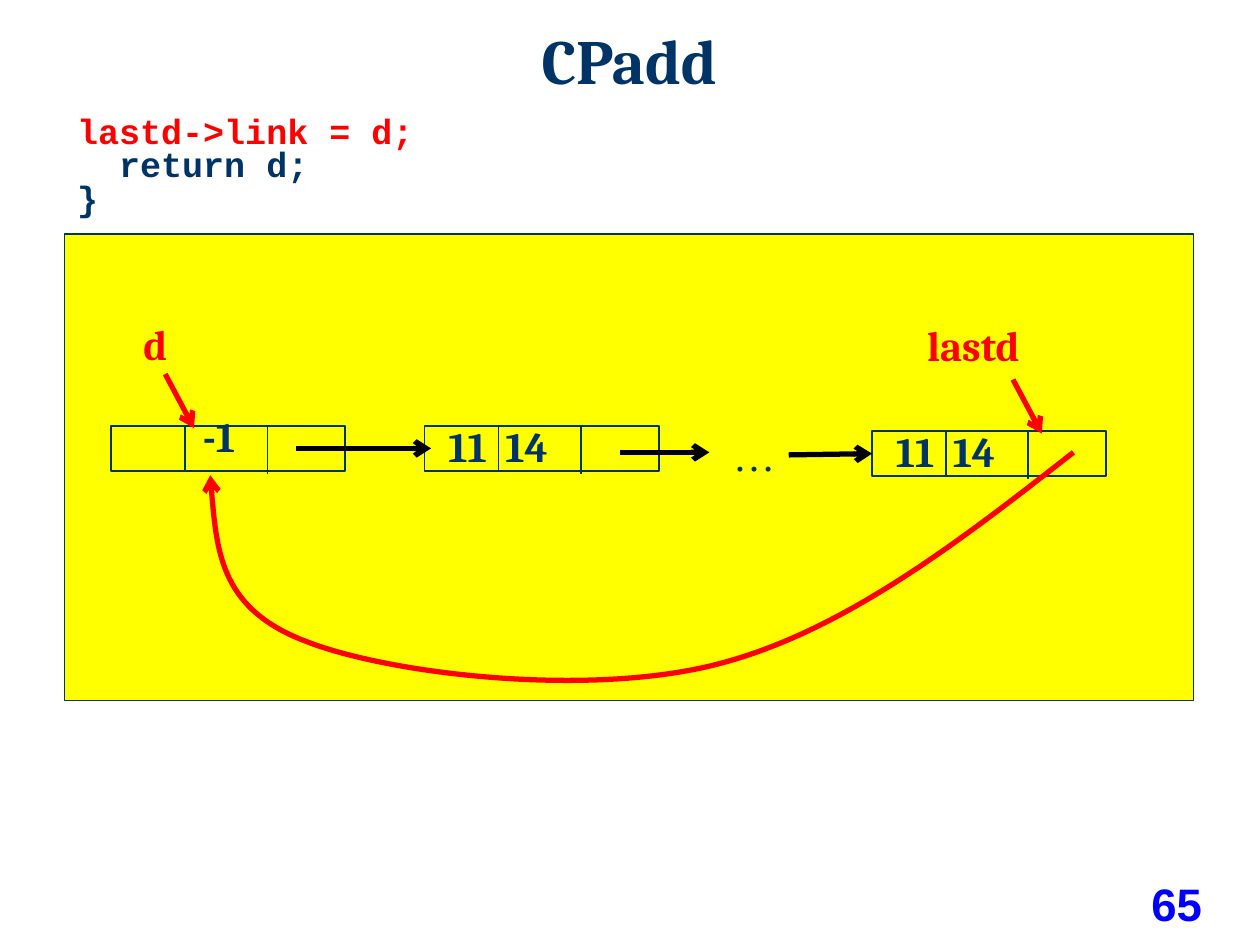
from dataclasses import dataclass

from pptx import Presentation
from pptx import util as u
from pptx.dml.color import RGBColor
from pptx.enum import shapes, text
from pptx.oxml import ns, xmlchemy


@dataclass(frozen=True)
class Theme:
    navy: str = "003366"
    red: str = "FF0000"
    black: str = "000000"
    blue: str = "0000FF"
    yellow: str = "FFFF00"
    white: str = "FFFFFF"
    serif: str = "Cambria"
    mono: str = "Courier New"
    sans: str = "Arial"
    roman: str = "Times New Roman"
    head: int = 36
    code: int = 20
    label: int = 24
    page: int = 26


def color(code):
    return RGBColor.from_string(code)


def cm(*sizes):
    return [u.Cm(size) for size in sizes]


class Deck:
    def __init__(self, theme):
        self.theme = theme
        self.prs = Presentation()
        self.prs.slide_width, self.prs.slide_height = cm(25.4, 19.05)
        self.slide = self.prs.slides.add_slide(self.prs.slide_layouts[1])
        self.shapes = self.slide.shapes

    def style(self, par, font, size, shade, bold=True):
        for run in par.runs:
            run.font.name = font
            run.font.size = u.Pt(size)
            run.font.bold = bold
            run.font.color.rgb = color(shade)

    def place(self, shape, box):
        shape.left, shape.top, shape.width, shape.height = cm(*box)

    def title(self, words, box):
        shape = self.shapes.title
        self.place(shape, box)
        frame = shape.text_frame
        frame.text = words
        frame.auto_size = text.MSO_AUTO_SIZE.NONE
        frame.vertical_anchor = text.MSO_ANCHOR.MIDDLE
        par = frame.paragraphs[0]
        par.alignment = text.PP_ALIGN.CENTER
        self.style(par, self.theme.serif, self.theme.head, self.theme.navy)

    def code(self, lines, box):
        shape = self.slide.placeholders[1]
        self.place(shape, box)
        shape.fill.solid()
        shape.fill.fore_color.rgb = color(self.theme.white)
        frame = shape.text_frame
        frame.text = "\n".join(words for words, shade in lines)
        frame.auto_size = text.MSO_AUTO_SIZE.NONE
        for par, (words, shade) in zip(frame.paragraphs, lines):
            par.line_spacing = 0.8
            par.space_before = u.Pt(0)
            props = par._p.get_or_add_pPr()
            props.set("marL", "0")
            props.set("indent", "0")
            props.append(xmlchemy.OxmlElement("a:buNone"))
            self.style(par, self.theme.mono, self.theme.code, shade)

    def rect(self, box, width, fill=None):
        shape = self.shapes.add_shape(shapes.MSO_SHAPE.RECTANGLE, *cm(*box))
        shape.shadow.inherit = False
        if fill:
            shape.fill.solid()
            shape.fill.fore_color.rgb = color(fill)
        else:
            shape.fill.background()
        self.stroke(shape, self.theme.navy, width)
        return shape

    def label(self, words, box, shade, font=None, bold=True):
        frame = self.shapes.add_textbox(*cm(*box)).text_frame
        frame.text = words
        frame.word_wrap = False
        self.style(frame.paragraphs[0], font or self.theme.serif,
                   self.theme.label, shade, bold)

    def number(self, words, box):
        frame = self.shapes.add_textbox(*cm(*box)).text_frame
        frame.text = words
        frame.word_wrap = True
        frame.vertical_anchor = text.MSO_ANCHOR.BOTTOM
        par = frame.paragraphs[0]
        par.alignment = text.PP_ALIGN.CENTER
        self.style(par, self.theme.sans, self.theme.page, self.theme.blue)

    def stroke(self, shape, shade, width, arrow=False):
        shape.line.color.rgb = color(shade)
        shape.line.width = u.Pt(width)
        if arrow:
            tip = xmlchemy.OxmlElement("a:tailEnd")
            tip.set("type", "arrow")
            shape._element.spPr.find(ns.qn("a:ln")).append(tip)

    def line(self, start, end, shade, width, arrow=False):
        wire = self.shapes.add_connector(
            shapes.MSO_CONNECTOR.STRAIGHT, *cm(*start, *end))
        self.stroke(wire, shade, width, arrow)
        wire._element.spPr.append(xmlchemy.OxmlElement("a:effectLst"))
        return wire

    def arrow(self, start, end, shade):
        return self.line(start, end, shade, 3, True)

    def node(self, x, y, words, shift, width):
        rect = self.rect((x, y, 4.72, 0.91), 1)
        for step, drop in ((1.49, 0.93), (3.15, 0.97)):
            self.line((x + step, y), (x + step, y + drop), self.theme.navy, 1)
        dx, dy = shift
        self.label(words, (x + dx, y + dy, width, 1.3), self.theme.navy)
        return rect

    def curve(self, points, shade):
        start, *rest = [cm(*point) for point in points]
        form = self.shapes.build_freeform(*start, scale=1.0)
        form.add_line_segments(rest, close=False)
        shape = form.convert_to_shape()
        shape.shadow.inherit = False
        shape.fill.background()
        self.stroke(shape, shade, 3, True)
        route = next(shape._element.iter(ns.qn("a:path")))
        legs = route.findall(ns.qn("a:lnTo"))
        for first in range(0, len(legs), 3):
            bend = xmlchemy.OxmlElement("a:cubicBezTo")
            for leg in legs[first:first + 3]:
                bend.append(leg[0])
                route.remove(leg)
            route.append(bend)


def main():
    theme = Theme()
    deck = Deck(theme)
    deck.title("CPadd", (7.49, -0.08, 10.39, 2.57))
    deck.code([("lastd->link = d;", theme.red),
               ("  return d;", theme.navy),
               ("}", theme.navy)], (1.3, 2.24, 22.76, 2.49))
    deck.rect((1.3, 4.72, 22.76, 9.4), 0.75, theme.yellow)
    deck.number("65", (22.5, 17.53, 2.44, 1.35))

    deck.node(2.24, 8.59, "-1", (1.6, -0.44), 1.32)
    deck.node(8.56, 8.59, "11  14", (0.23, -0.23), 2.92)
    last = deck.node(17.58, 8.69, "11  14", (0.23, -0.23), 2.92)
    deck.label("d", (2.64, 6.3, 1.02, 1.3), theme.red)
    deck.label("lastd", (18.44, 6.32, 2.44, 1.3), theme.red)
    deck.label("…", (14.53, 8.53, 1.37, 1.27), theme.navy, theme.roman, False)

    for x, y in ((3.33, 7.54), (20.42, 7.65)):
        deck.arrow((x, y), (x + 0.58, y + 1.09), theme.red)
    deck.arrow((5.97, 9.04), (8.69, 9.04), theme.black)
    deck.arrow((12.5, 9.12), (14.3, 9.12), theme.black)
    join = deck.arrow((15.9, 9.17), (17.58, 9.14), theme.black)
    join.end_connect(last, 1)
    deck.curve([(21.64, 9.12),
                (19.3, 10.95), (16.94, 12.78), (14.38, 13.41),
                (11.79, 14.05), (7.85, 13.59), (6.17, 12.93),
                (4.47, 12.29), (4.34, 10.95), (4.24, 9.58)], theme.red)
    deck.prs.save("out.pptx")


if __name__ == "__main__":
    main()
